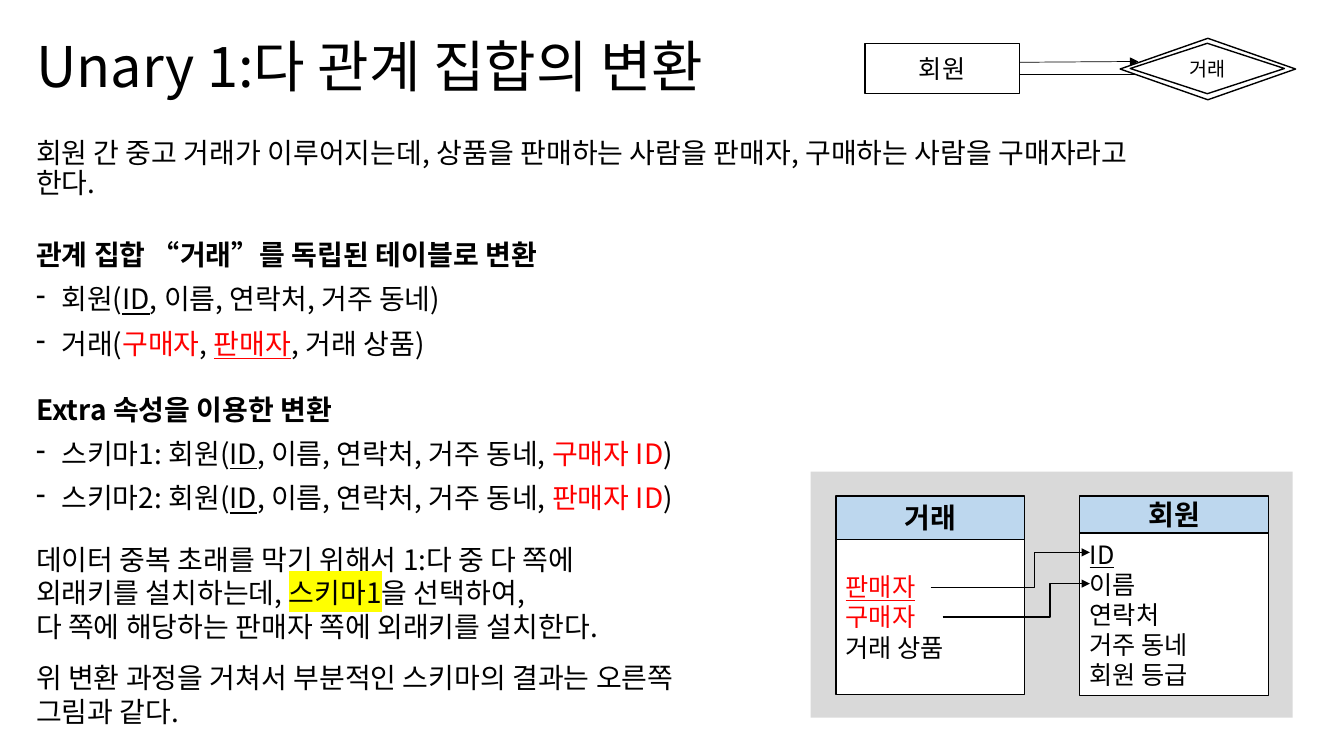
import dataclasses
import pptx
import pptx.dml.color
import pptx.enum.shapes
import pptx.enum.text
import pptx.oxml
import pptx.oxml.ns
import pptx.util

Inches = pptx.util.Inches
Pt = pptx.util.Pt
qn = pptx.oxml.ns.qn
Shape = pptx.enum.shapes.MSO_SHAPE
Connector = pptx.enum.shapes.MSO_CONNECTOR
Align = pptx.enum.text.PP_ALIGN
Anchor = pptx.enum.text.MSO_ANCHOR
RGB = pptx.dml.color.RGBColor.from_string


@dataclasses.dataclass(frozen=True)
class Theme:
    font: str = "Noto Sans CJK KR"
    ink: str = "000000"
    key: str = "FF0000"
    paper: str = "FFFFFF"
    panel: str = "D9D9D9"
    header: str = "BDD7EE"
    marker: str = "FFFF00"
    title: int = 40
    body: int = 20
    label: int = 18
    small: int = 14


theme = Theme()


def write(frame, text, size=theme.body, bold=False, align=Align.LEFT, spacing=1.0, before=0, dash=False):
    paragraph = frame.add_paragraph() if frame.text else frame.paragraphs[0]
    paragraph.alignment = align
    paragraph.line_spacing = spacing
    paragraph.space_before = Pt(before)
    if dash:
        properties = paragraph._p.get_or_add_pPr()
        properties.set("marL", str(Inches(0.25)))
        properties.set("indent", str(-Inches(0.25)))
        properties.makeelement(qn("a:buChar"))
        pptx.oxml.ns and properties.append(properties.makeelement(qn("a:buChar"), {"char": "-"}))
    for part in [text] if isinstance(text, str) else text:
        words, look = (part, {}) if isinstance(part, str) else part
        run = paragraph.add_run()
        run.text = words
        run.font.size = Pt(size)
        run.font.bold = bold
        run.font.underline = look.get("underline", False)
        run.font.color.rgb = RGB(look.get("color", theme.ink))
        format_xml = run._r.get_or_add_rPr()
        if "highlight" in look:
            highlight = format_xml.makeelement(qn("a:highlight"))
            highlight.append(highlight.makeelement(qn("a:srgbClr"), {"val": look["highlight"]}))
            format_xml.append(highlight)
        run.font.name = theme.font
        format_xml.append(format_xml.makeelement(qn("a:ea"), {"typeface": theme.font}))


def add_box(kind, left, top, width, height, fill=theme.paper, outlined=True):
    box = slide.shapes.add_shape(kind, Inches(left), Inches(top), Inches(width), Inches(height))
    box.shadow.inherit = False
    box.fill.solid()
    box.fill.fore_color.rgb = RGB(fill)
    if outlined:
        box.line.color.rgb = RGB(theme.ink)
        box.line.width = Pt(1)
    else:
        box.line.fill.background()
    box.text_frame.vertical_anchor = Anchor.MIDDLE
    return box.text_frame


presentation = pptx.Presentation()
presentation.slide_width = Inches(13.33)
presentation.slide_height = Inches(7.5)
slide = presentation.slides.add_slide(presentation.slide_layouts[5])

title = slide.shapes.title
title.left, title.top, title.width, title.height = Inches(0.26), Inches(0.3), Inches(7.63), Inches(0.77)
title.text_frame.vertical_anchor = Anchor.MIDDLE
write(title.text_frame, "Unary 1:다 관계 집합의 변환", size=theme.title, spacing=0.9)

key = {"underline": True}
red = {"color": theme.key}
red_key = {**red, **key}
marked = {"highlight": theme.marker}

explanation = slide.shapes.add_textbox(Inches(0.26), Inches(1.33), Inches(11.5), Inches(4)).text_frame
explanation.word_wrap = True
write(explanation, "회원 간 중고 거래가 이루어지는데, 상품을 판매하는 사람을 판매자, 구매하는 사람을 구매자라고 한다.", spacing=0.9)
sections = [
    (30, "관계 집합 “거래”를 독립된 테이블로 변환", [
        ["회원(", ("ID", key), ", 이름, 연락처, 거주 동네)"],
        ["거래(", ("구매자", red), ", ", ("판매자", red_key), ", 거래 상품)"],
    ]),
    (25.5, "Extra 속성을 이용한 변환", [
        [f"스키마{number}: 회원(", ("ID", key), ", 이름, 연락처, 거주 동네, ", (f"{role} ID", red), ")"]
        for number, role in enumerate(["구매자", "판매자"], 1)
    ]),
]
for gap, heading, schemas in sections:
    write(explanation, heading, bold=True, spacing=0.9, before=gap)
    for schema in schemas:
        write(explanation, schema, spacing=0.9, before=10, dash=True)

conclusion = slide.shapes.add_textbox(Inches(0.26), Inches(5.33), Inches(7.7), Inches(2.1)).text_frame
conclusion.word_wrap = True
for gap, line in [
    (0, "데이터 중복 초래를 막기 위해서 1:다 중 다 쪽에"),
    (0, ["외래키를 설치하는데, ", ("스키마1", marked), "을 선택하여,"]),
    (0, "다 쪽에 해당하는 판매자 쪽에 외래키를 설치한다."),
    (12.5, "위 변환 과정을 거쳐서 부분적인 스키마의 결과는 오른쪽"),
    (0, "그림과 같다."),
]:
    write(conclusion, line, before=gap)

add_box(Shape.RECTANGLE, 8.04, 4.68, 4.78, 2.44, fill=theme.panel, outlined=False)
for left, header_height, body_height, name, attributes in [
    (10.71, 0.37, 1.61, "회원", [("ID", key), "이름", "연락처", "거주 동네", "회원 등급"]),
    (8.29, 0.43, 1.54, "거래", [("판매자", red_key), ("구매자", red), "거래 상품"]),
]:
    columns = add_box(Shape.RECTANGLE, left, 4.92 + header_height, 1.87, body_height)
    for attribute in attributes:
        write(columns, [attribute], size=theme.label)
    header = add_box(Shape.RECTANGLE, left, 4.92, 1.87, header_height, fill=theme.header)
    write(header, name, bold=True, align=Align.CENTER)

for kind, start, end, width, arrow, bend in [
    (Connector.STRAIGHT, (9.85, 0.62), (11.29, 0.61), 0.5, True, None),
    (Connector.STRAIGHT, (10.12, 0.74), (11.29, 0.74), 0.5, False, None),
    (Connector.ELBOW, (9.23, 5.83), (10.81, 5.48), 1, True, 65100),
    (Connector.ELBOW, (9.35, 6.12), (10.81, 5.79), 1, True, 72900),
]:
    link = slide.shapes.add_connector(kind, *map(Inches, start + end))
    link.line.color.rgb = RGB(theme.ink)
    link.line.width = Pt(width)
    link_xml = link._element.spPr
    if arrow:
        outline = link_xml.find(qn("a:ln"))
        outline.append(outline.makeelement(qn("a:tailEnd"), {"type": "triangle"}))
    if bend:
        guides = link_xml.find(qn("a:prstGeom")).find(qn("a:avLst"))
        guides.append(guides.makeelement(qn("a:gd"), {"name": "adj1", "fmla": f"val {bend}"}))
    link_xml.append(link_xml.makeelement(qn("a:effectLst")))

add_box(Shape.DIAMOND, 11.11, 0.38, 1.74, 0.61)
entity = add_box(Shape.RECTANGLE, 8.58, 0.43, 1.53, 0.5)
write(entity, "회원", size=theme.label, align=Align.CENTER)
relationship = add_box(Shape.DIAMOND, 11.21, 0.43, 1.53, 0.5)
write(relationship, "거래", size=theme.small, align=Align.CENTER)

presentation.save("out.pptx")
